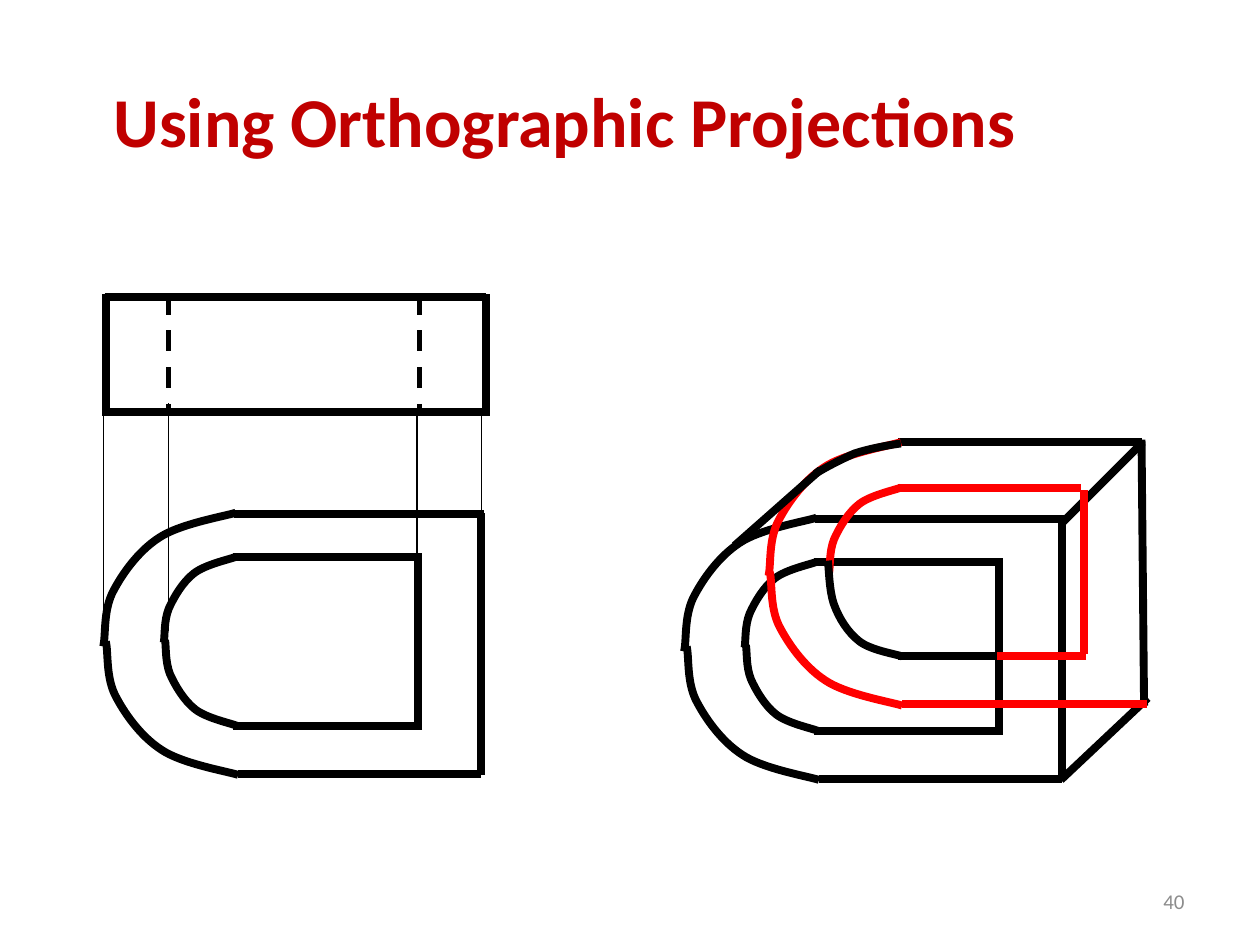
import dataclasses
import pptx
import pptx.dml.color
import pptx.enum.dml
import pptx.enum.shapes
import pptx.enum.text
import pptx.oxml
import pptx.oxml.ns
import pptx.util

Inches = pptx.util.Inches
BLACK, RED, TITLE_RED, GREY = "000000", "FF0000", "C00000", "8C8C8C"
THICK, MEDIUM, THIN = 4.5, 3, 0.75

# Quarter curves as Bezier points: distance left of and below the start
OUTER = [(0.1, 0.03), (0.45, 0.09), (0.61, 0.2), (0.78, 0.31), (0.91, 0.5),
         (0.98, 0.64), (1.05, 0.79), (1.03, 0.97), (1.05, 1.06)]
INNER = [(0.05, 0.02), (0.24, 0.06), (0.33, 0.13), (0.42, 0.2), (0.49, 0.32),
         (0.53, 0.41), (0.57, 0.51), (0.56, 0.63), (0.57, 0.68)]
INNER_TALL = [(0.06, 0.02), (0.25, 0.05), (0.34, 0.12), (0.43, 0.19), (0.5, 0.3),
              (0.54, 0.41), (0.58, 0.52), (0.58, 0.69), (0.59, 0.76)]
SHOULDER = [(0.08, 0.01), (0.25, 0.04), (0.37, 0.08), (0.48, 0.13), (0.58, 0.18),
            (0.68, 0.24)]


@dataclasses.dataclass
class Edge:
    x1: float
    y1: float
    x2: float
    y2: float
    color: str = BLACK
    width: float = THICK
    dashed: bool = False


@dataclasses.dataclass
class Curve:
    x: float
    y: float
    profile: list
    direction: int = 1  # 1 bends down, -1 bends up
    color: str = BLACK


def rgb(value: str):
    return pptx.dml.color.RGBColor.from_string(value)


def style_line(line, color: str, width: float) -> None:
    line.color.rgb = rgb(color)
    line.width = pptx.util.Pt(width)


def draw_edge(page, edge: Edge) -> None:
    ends = [Inches(value) for value in (edge.x1, edge.y1, edge.x2, edge.y2)]
    connector = page.shapes.add_connector(
        pptx.enum.shapes.MSO_CONNECTOR.STRAIGHT, *ends)
    style_line(connector.line, edge.color, edge.width)
    if edge.dashed:
        connector.line.dash_style = pptx.enum.dml.MSO_LINE.DASH
    properties = connector._element.spPr
    properties.append(pptx.oxml.parse_xml(
        f"<a:effectLst {pptx.oxml.ns.nsdecls('a')}/>"))


def draw_curve(page, curve: Curve) -> None:
    points = [(Inches(curve.x - left), Inches(curve.y + curve.direction * down))
              for left, down in curve.profile]
    builder = page.shapes.build_freeform(Inches(curve.x), Inches(curve.y))
    builder.add_line_segments(points, close=False)
    shape = builder.convert_to_shape()
    shape.shadow.inherit = False
    shape.fill.background()
    style_line(shape.line, curve.color, THICK)
    # Turn each three straight segments into one Bezier segment
    segments = list(shape._element.iter(pptx.oxml.ns.qn("a:lnTo")))
    for start in range(0, len(segments), 3):
        bezier = pptx.oxml.parse_xml(
            f"<a:cubicBezTo {pptx.oxml.ns.nsdecls('a')}/>")
        segments[start].addprevious(bezier)
        for segment in segments[start:start + 3]:
            bezier.append(segment[0])
            segment.getparent().remove(segment)


def draw_all(page, parts: list) -> None:
    for part in parts:
        if isinstance(part, Edge):
            draw_edge(page, part)
        else:
            draw_curve(page, part)


def front_view(dx: float, dy: float) -> list:
    edges = [(3.82, 6.15, 3.82, 4.07), (3.84, 4.08, 1.86, 4.08),
             (1.89, 6.14, 3.82, 6.14), (1.85, 4.42, 3.31, 4.42),
             (3.32, 4.39, 3.32, 5.77), (3.35, 5.76, 1.85, 5.76)]
    curves = [(1.87, 4.07, OUTER, 1), (1.89, 6.15, OUTER, -1),
              (1.87, 4.42, INNER, 1), (1.88, 5.76, INNER, -1)]
    return ([Edge(x1 + dx, y1 + dy, x2 + dx, y2 + dy) for x1, y1, x2, y2 in edges]
            + [Curve(x + dx, y + dy, profile, way) for x, y, profile, way in curves])


def write_text(box, text: str, color: str, alignment, font: dict) -> None:
    frame = box.text_frame
    frame.word_wrap = True
    frame.vertical_anchor = pptx.enum.text.MSO_ANCHOR.MIDDLE
    para = frame.paragraphs[0]
    para.alignment = alignment
    span = para.add_run()
    span.text = text
    for name, value in font.items():
        setattr(span.font, name, value)
    span.font.color.rgb = rgb(color)


def main() -> None:
    deck = pptx.Presentation()
    deck.slide_width, deck.slide_height = Inches(10), Inches(7.5)
    page = deck.slides.add_slide(deck.slide_layouts[5])

    # Top view: outline and hidden edges
    draw_all(page, [
        Edge(0.83, 2.36, 3.86, 2.36), Edge(0.84, 2.33, 0.84, 3.28),
        Edge(0.81, 3.27, 3.89, 3.27), Edge(3.86, 3.28, 3.86, 2.33),
        Edge(1.34, 2.33, 1.34, 3.24, width=MEDIUM, dashed=True),
        Edge(3.33, 2.33, 3.33, 3.28, width=MEDIUM, dashed=True)])

    # Front view and the projection lines down to it
    draw_all(page, front_view(0, 0))
    draw_all(page, [Edge(x, top, x, bottom, width=THIN) for x, top, bottom in (
        (0.82, 3.24, 5.01), (1.34, 3.2, 5.01), (3.31, 3.28, 5.09),
        (3.82, 3.28, 5.09))])

    # Solid: receding edges, front face, then back face with hidden parts in red
    draw_all(page, [Edge(8.42, 6.19, 9.11, 5.54), Edge(8.43, 4.15, 9.07, 3.51)])
    draw_all(page, front_view(4.61, 0.04))
    draw_all(page, [
        Edge(9.08, 5.6, 9.06, 3.49),
        Edge(9.06, 3.51, 7.13, 3.51),
        Edge(7.16, 5.59, 9.1, 5.59, RED),
        Edge(7.13, 3.87, 8.58, 3.87, RED),
        Edge(8.6, 3.89, 8.6, 5.19, RED),
        Edge(7.95, 5.21, 7.13, 5.21),
        Curve(7.15, 3.51, OUTER, 1, RED),
        Curve(7.16, 5.6, OUTER, -1, RED),
        Curve(7.15, 3.87, INNER, 1, RED),
        Curve(7.16, 5.21, INNER_TALL, -1),
        Edge(5.83, 4.33, 6.51, 3.73),
        Edge(8.62, 5.21, 7.91, 5.21, RED),
        Curve(7.15, 3.52, SHOULDER)])

    # Slide number
    number = page.shapes.add_textbox(
        Inches(7.17), Inches(6.95), Inches(2.33), Inches(0.4))
    write_text(number, "40", GREY, pptx.enum.text.PP_ALIGN.RIGHT,
               {"name": "Calibri", "size": pptx.util.Pt(12)})

    # Title
    title = page.shapes.title
    place = {"left": 0.67, "top": 0.48, "width": 7.96, "height": 0.94}
    for name, value in place.items():
        setattr(title, name, Inches(value))
    title.text_frame.margin_left = Inches(0.23)
    write_text(title, "Using Orthographic Projections", TITLE_RED,
               pptx.enum.text.PP_ALIGN.JUSTIFY,
               {"name": "Calibri", "size": pptx.util.Pt(40), "bold": True})

    deck.save("out.pptx")


if __name__ == "__main__":
    main()
